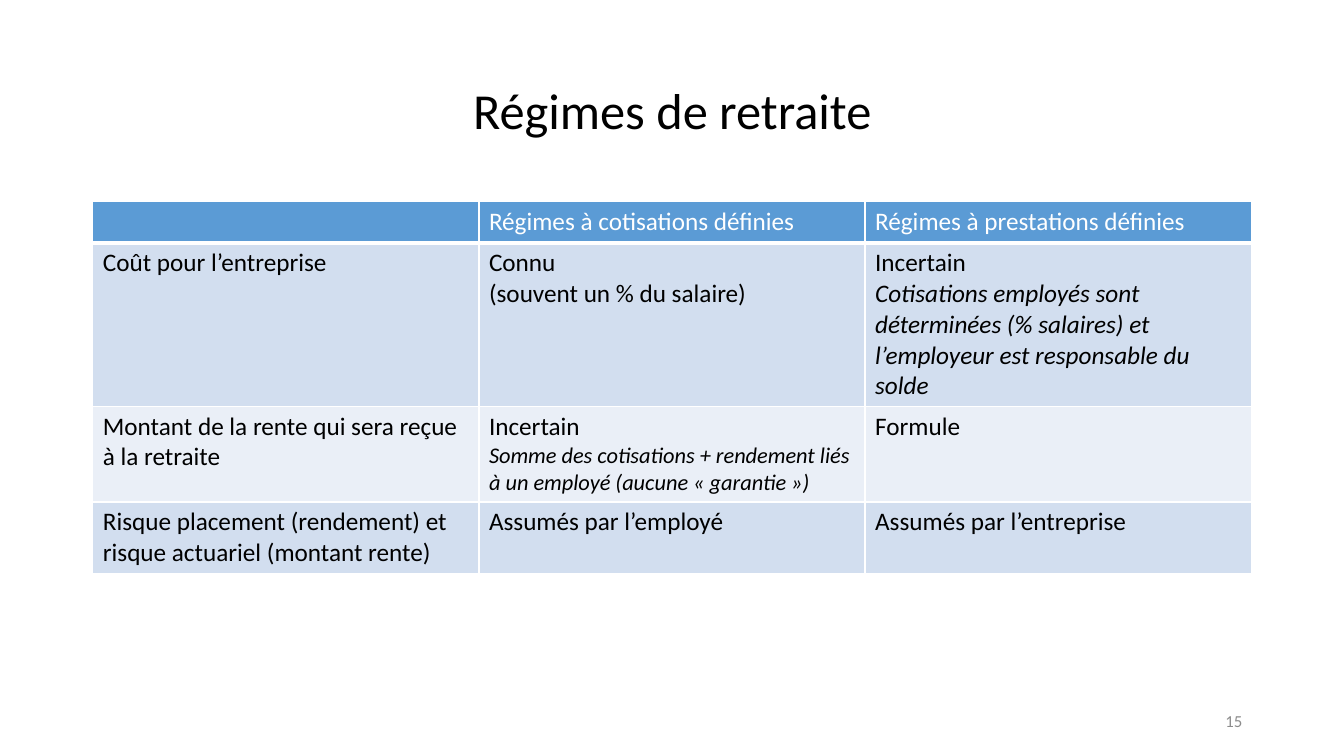
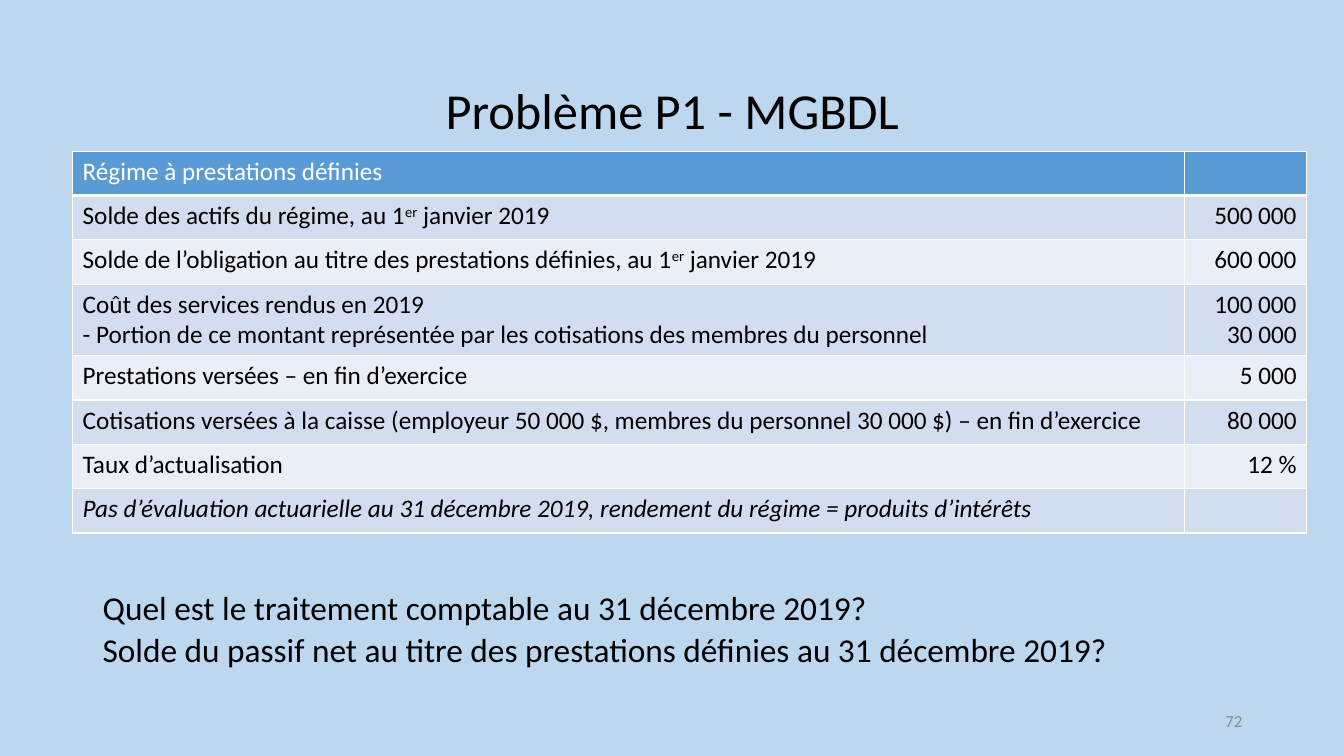
from dataclasses import dataclass

from lxml import etree
from pptx import Presentation
from pptx import util as u
from pptx.dml.color import RGBColor
from pptx.enum import text
from pptx.oxml import ns


@dataclass(frozen=True)
class Theme:
    """Colours, font and type sizes of the deck."""
    font: str = "Calibri"
    ink: str = "000000"
    white: str = "FFFFFF"
    problem_page: str = "BDD7EE"
    header: str = "5B9BD5"
    bands: tuple = ("D2DEEF", "EAEFF7")
    page_number: str = "8C8C8C"
    title_size: float = 36
    question_size: float = 23.8
    table_size: float = 18
    detail_size: float = 16
    number_size: float = 12


THEME = Theme()
LEFT, RIGHT = text.PP_ALIGN.LEFT, text.PP_ALIGN.RIGHT


def add_run(paragraph, words, size=THEME.table_size, color=THEME.ink, italic=False, raised=False):
    """Append formatted words to a paragraph."""
    run = paragraph.add_run()
    run.text = words
    font = run.font
    font.name, font.size = THEME.font, u.Pt(size)
    font.bold, font.italic = False, italic
    font.color.rgb = RGBColor.from_string(color)
    if raised:
        run._r.get_or_add_rPr().set("baseline", "30000")


def styled(words, **look):
    """Pair words with the format that differs from the default."""
    return [(words, look)]


def january_first(balance):
    """Return the runs of a balance dated January 1st."""
    return (styled(f"{balance}, au 1") + styled("er", raised=True)
            + styled(" janvier 2019"))


def fill_frame(frame, lines, align=LEFT, spacing=None, gap=0, **look):
    """Write each line as a paragraph, with gaps between them."""
    for index, line in enumerate(lines):
        paragraph = frame.add_paragraph() if index else frame.paragraphs[0]
        paragraph.alignment = align
        if spacing:
            paragraph.line_spacing = spacing
        if index and gap:
            paragraph.space_before = u.Pt(gap)
        for words, own in styled(line) if isinstance(line, str) else line:
            add_run(paragraph, words, **{**look, **own})


def draw_borders(cell, bottom):
    """Give a cell white edges with its own bottom width."""
    properties = cell._tc.get_or_add_tcPr()
    for side, width in (("L", 1), ("R", 1), ("T", 1), ("B", bottom)):
        edge = etree.SubElement(properties, ns.qn(f"a:ln{side}"), w=str(u.Pt(width)))
        solid = etree.SubElement(edge, ns.qn("a:solidFill"))
        etree.SubElement(solid, ns.qn("a:srgbClr"), val=THEME.white)


class Deck:
    """Build slides in one shared style."""

    def __init__(self):
        """Start a widescreen presentation."""
        self.presentation = Presentation()
        self.presentation.slide_width = u.Inches(13.33)
        self.presentation.slide_height = u.Inches(7.5)
        self.slide = None

    def page(self, title, number, background=THEME.white):
        """Open a slide with its title and page number."""
        self.slide = self.presentation.slides.add_slide(self.presentation.slide_layouts[6])
        backdrop = self.slide.background.fill
        backdrop.solid()
        backdrop.fore_color.rgb = RGBColor.from_string(background)
        middle = text.MSO_ANCHOR.MIDDLE
        self.text((0.92, 0.4, 11.5, 1.45), [title], anchor=middle,
                  align=text.PP_ALIGN.CENTER, spacing=0.9, size=THEME.title_size)
        self.text((9.42, 6.95, 3, 0.4), [number], anchor=middle, align=RIGHT,
                  size=THEME.number_size, color=THEME.page_number)

    def text(self, box, lines, anchor=text.MSO_ANCHOR.TOP, **look):
        """Place a wrapped text box."""
        frame = self.slide.shapes.add_textbox(*map(u.Inches, box)).text_frame
        frame.word_wrap = True
        frame.vertical_anchor = anchor
        fill_frame(frame, lines, **look)

    def table(self, left, top, widths, heights, rows, aligns):
        """Place a banded table with a coloured header row."""
        table = self.slide.shapes.add_table(
            len(rows), len(widths), u.Inches(left), u.Inches(top),
            u.Inches(sum(widths)), u.Inches(sum(heights))).table
        table.first_row = table.horz_banding = False
        for column, width in zip(table.columns, widths):
            column.width = u.Inches(width)
        for index, (row, height, contents) in enumerate(zip(table.rows, heights, rows)):
            row.height = u.Inches(height)
            is_header = index == 0
            shade = THEME.header if is_header else THEME.bands[(index - 1) % 2]
            for cell, lines, align in zip(row.cells, contents, aligns):
                draw_borders(cell, bottom=3 if is_header else 1)
                cell.fill.solid()
                cell.fill.fore_color.rgb = RGBColor.from_string(shade)
                fill_frame(cell.text_frame, lines, align=align,
                           color=THEME.white if is_header else THEME.ink)


def pension_plans(deck):
    """Compare the two kinds of pension plan."""
    deck.page("Régimes de retraite", "15")
    comparison = [
        ([], ["Régimes à cotisations définies"], ["Régimes à prestations définies"]),
        (["Coût pour l’entreprise"],
         ["Connu", "(souvent un % du salaire)"],
         ["Incertain", styled("Cotisations employés sont déterminées (% salaires) et "
                              "l’employeur est responsable du solde", italic=True)]),
        (["Montant de la rente qui sera reçue à la retraite"],
         ["Incertain", styled("Somme des cotisations + rendement liés à un employé "
                              "(aucune « garantie »)",
                              size=THEME.detail_size, italic=True)],
         ["Formule"]),
        (["Risque placement (rendement) et risque actuariel (montant rente)"],
         ["Assumés par l’employé"], ["Assumés par l’entreprise"]),
    ]
    deck.table(0.92, 2, [3.83] * 3, [0.41, 1.62, 0.95, 0.71], comparison, [LEFT] * 3)


def plan_problem(deck):
    """State the defined benefit problem and its questions."""
    deck.page("Problème P1 - MGBDL", "72", THEME.problem_page)
    plan_data = [
        (["Régime à prestations définies"], []),
        ([january_first("Solde des actifs du régime")], ["500 000"]),
        ([january_first("Solde de l’obligation au titre des prestations définies")],
         ["600 000"]),
        (["Coût des services rendus en 2019",
          "- Portion de ce montant représentée par les cotisations des membres du personnel"],
         ["100 000", "30 000"]),
        (["Prestations versées – en fin d’exercice"], ["5 000"]),
        (["Cotisations versées à la caisse (employeur 50 000 $, "
          "membres du personnel 30 000 $) – en fin d’exercice"], ["80 000"]),
        (["Taux d’actualisation"], ["12 %"]),
        ([styled("Pas d’évaluation actuarielle au 31 décembre 2019, "
                 "rendement du régime = produits d’intérêts", italic=True)], []),
    ]
    heights = [0.71 if len(label) > 1 else 0.44 for label, _ in plan_data]
    deck.table(0.72, 1.5, [11.03, 1.21], heights, plan_data, [LEFT, RIGHT])
    deck.text((0.92, 5.88, 11.5, 0.88),
              ["Quel est le traitement comptable au 31 décembre 2019?",
               "Solde du passif net au titre des prestations définies au 31 décembre 2019?"],
              size=THEME.question_size, spacing=0.7, gap=10)


def main():
    """Build and save the deck."""
    deck = Deck()
    pension_plans(deck)
    plan_problem(deck)
    deck.presentation.save("out.pptx")


if __name__ == "__main__":
    main()
